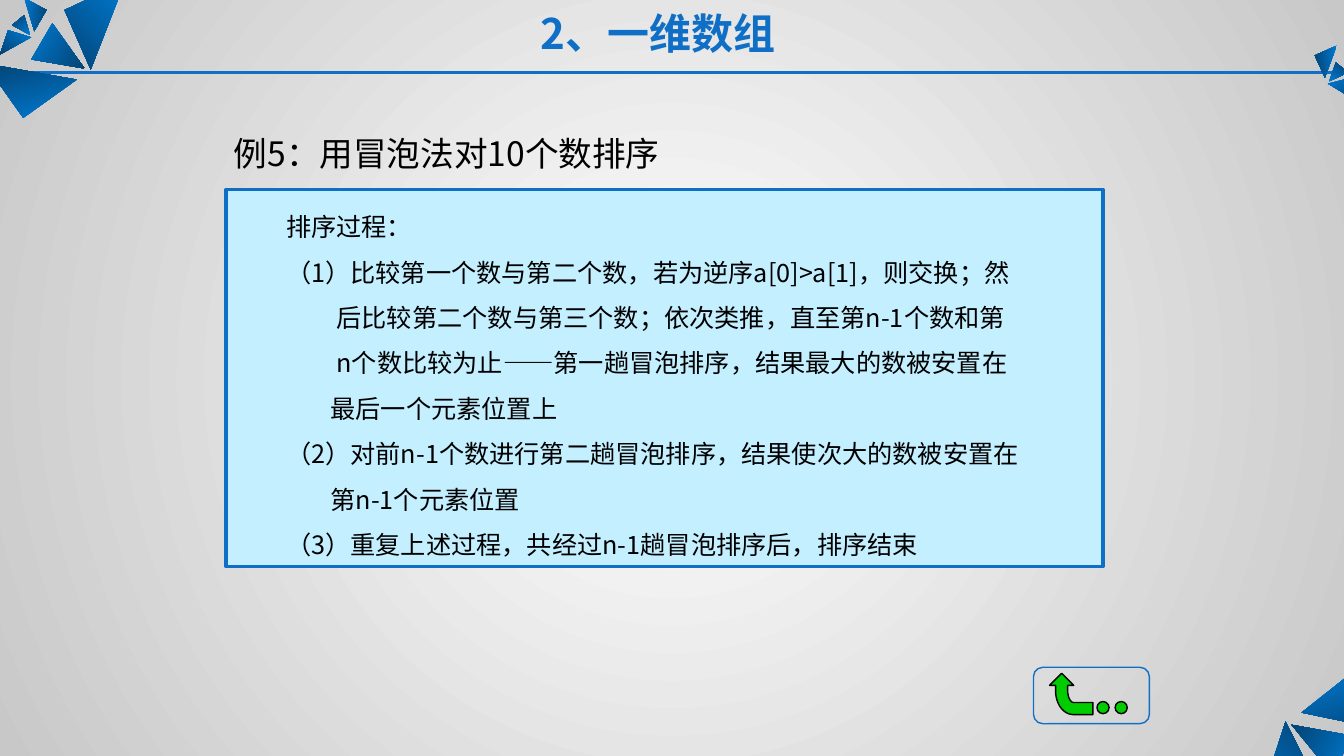
from lxml import etree
from pptx import Presentation
from pptx import util as u
from pptx.dml.color import RGBColor
from pptx.enum import shapes, text
from pptx.oxml.ns import qn

PX = 9144
FONT = "Noto Sans CJK SC"
COLORS = {
    "accent": "0F6FC6", "ink": "000000", "panel": "C4EFFF", "arrow": "00CC00",
    "light": "007BD3", "dark": "034373", "center": "FFFFFF", "edge": "C8C8C8",
}
CORNER_TRIANGLES = [
    (224.2, [(1244, 811), (1275, 716), (1309, 783)]),
    (119.1, [(1342, 730), (1281, 719), (1321, 768)]),
    (343.5, [(1345, 664), (1291, 707), (1388, 727)]),
    (45.5, [(124, -18), (90, 69), (64, 10)]),
    (300.5, [(31, 59), (84, 68), (52, 23)]),
    (164.9, [(23, 117), (76, 79), (-15, 63)]),
    (38, [(0, 54), (31, 37), (8, 30)]),
    (143.1, [(24, 15), (30, 35), (12, 25)]),
    (278.7, [(46, 10), (34, 31), (24, -2)]),
    (325, [(1347, 101), (1317, 83), (1341, 77)]),
    (219.9, [(1325, 62), (1318, 81), (1337, 72)]),
    (84.3, [(1304, 55), (1314, 77), (1326, 45)]),
]
PROCESS_LINES = [
    (50, "排序过程："),
    (50, "（1）比较第一个数与第二个数，若为逆序a[0]>a[1]，则交换；然"),
    (100, "后比较第二个数与第三个数；依次类推，直至第n-1个数和第"),
    (100, "n个数比较为止——第一趟冒泡排序，结果最大的数被安置在"),
    (94, "最后一个元素位置上"),
    (50, "（2）对前n-1个数进行第二趟冒泡排序，结果使次大的数被安置在"),
    (94, "第n-1个元素位置"),
    (50, "（3）重复上述过程，共经过n-1趟冒泡排序后，排序结束"),
]


def px(*values):
    return [round(v * PX) for v in values]


def rgb(name):
    return RGBColor.from_string(COLORS[name])


def gradient(fill, first, last):
    fill.gradient()
    for stop, name, position in zip(fill.gradient_stops, (first, last), (0, 1)):
        stop.color.rgb = rgb(name)
        stop.position = position


def paint(sp, fill=None, line=None, width=1):
    sp.shadow.inherit = False
    if fill:
        sp.fill.solid()
        sp.fill.fore_color.rgb = rgb(fill)
    else:
        sp.fill.background()
    if line:
        sp.line.color.rgb = rgb(line)
        sp.line.width = u.Pt(width)
    else:
        sp.line.fill.background()


def outline(s, points):
    emu = [tuple(px(*point)) for point in points]
    builder = s.shapes.build_freeform(*emu[0], scale=1.0)
    builder.add_line_segments(emu[1:], close=True)
    return builder.convert_to_shape()


def style(p, size, color="ink", bold=False):
    p.font.size = u.Pt(size)
    p.font.bold = bold
    p.font.color.rgb = rgb(color)
    p.font.name = FONT
    defaults = p._p.pPr.find(qn("a:defRPr"))
    etree.SubElement(defaults, qn("a:ea")).set("typeface", FONT)


def text_box(s, box, words, size, color="ink", bold=False,
             anchor=text.MSO_ANCHOR.TOP, align=text.PP_ALIGN.LEFT):
    tf = s.shapes.add_textbox(*px(*box)).text_frame
    tf.word_wrap = True
    tf.vertical_anchor = anchor
    p = tf.paragraphs[0]
    p.text = words
    p.alignment = align
    style(p, size, color, bold)
    return p


def backdrop(s):
    gradient(s.background.fill, "center", "edge")
    grad = next(s._element.iter(qn("a:gradFill")))
    grad.remove(grad.find(qn("a:lin")))
    radial = etree.SubElement(grad, qn("a:path"), path="circle")
    etree.SubElement(radial, qn("a:fillToRect"),
                     {side: "50000" for side in "ltrb"})


def corners(s):
    for turn, points in CORNER_TRIANGLES:
        sp = outline(s, points)
        paint(sp)
        gradient(sp.fill, "light", "dark")
        sp.fill.gradient_angle = (270 - turn) % 360


def header(s, x, y, w, h):
    rule = s.shapes.add_connector(shapes.MSO_CONNECTOR.STRAIGHT,
                                  *px(x, y + h, x + w, y + h))
    rule.line.color.rgb = rgb("accent")
    rule.line.width = u.Pt(2.25)
    etree.SubElement(rule._element.spPr, qn("a:effectLst"))


def process_panel(s, x, y, w, h):
    sp = s.shapes.add_shape(shapes.MSO_SHAPE.RECTANGLE, *px(x, y, w, h))
    paint(sp, "panel", "accent", 2.5)
    tf = sp.text_frame
    tf.word_wrap = True
    tf.vertical_anchor = text.MSO_ANCHOR.MIDDLE
    for i, (indent, words) in enumerate(PROCESS_LINES):
        p = tf.add_paragraph() if i else tf.paragraphs[0]
        p.text = words
        p.alignment = text.PP_ALIGN.LEFT
        p.line_spacing = 1.5
        p._p.get_or_add_pPr().set("marL", str(indent * PX))
        style(p, 18)


def bezier(points, steps=12):
    a, b, c, d = points
    for i in range(1, steps + 1):
        t = i / steps
        k = 1 - t
        yield tuple(k**3 * a[n] + 3 * k * k * t * b[n] + 3 * k * t * t * c[n] + t**3 * d[n]
                    for n in (0, 1))


def return_button(s, x, y, w, h):
    frame = s.shapes.add_shape(shapes.MSO_SHAPE.ROUNDED_RECTANGLE, *px(x, y, w, h))
    paint(frame, line="accent")
    outer = bezier([(22, 23), (22, 37), (30, 47), (40, 47)])
    inner = bezier([(40, 35), (37, 35), (34, 30), (34, 23)])
    arrow = [(28, 6), (16, 18), (22, 18), (22, 23), *outer,
             (59, 47), (59, 35), (40, 35), *inner, (34, 18), (40, 18)]
    paint(outline(s, [(x + dx, y + dy) for dx, dy in arrow]), "arrow", "ink")
    for dx in (63, 81):
        dot = s.shapes.add_shape(shapes.MSO_SHAPE.OVAL, *px(x + dx, y + 34, 12, 12))
        paint(dot, "arrow", "ink")


def main():
    prs = Presentation()
    prs.slide_width, prs.slide_height = px(1333, 750)
    s = prs.slides.add_slide(prs.slide_layouts[6])
    backdrop(s)
    header(s, 3, 0, 1335, 72)
    corners(s)
    process_panel(s, 224, 188, 870, 374)
    example = text_box(s, (222, 52, 875, 125), "例5：用冒泡法对10个数排序", 24,
                       anchor=text.MSO_ANCHOR.BOTTOM)
    example.line_spacing = 0.9
    return_button(s, 1025, 662, 115, 56)
    text_box(s, (80, 3, 1145, 60), "2、一维数组", 30, "accent", True,
             align=text.PP_ALIGN.CENTER)
    prs.save("out.pptx")


if __name__ == "__main__":
    main()
